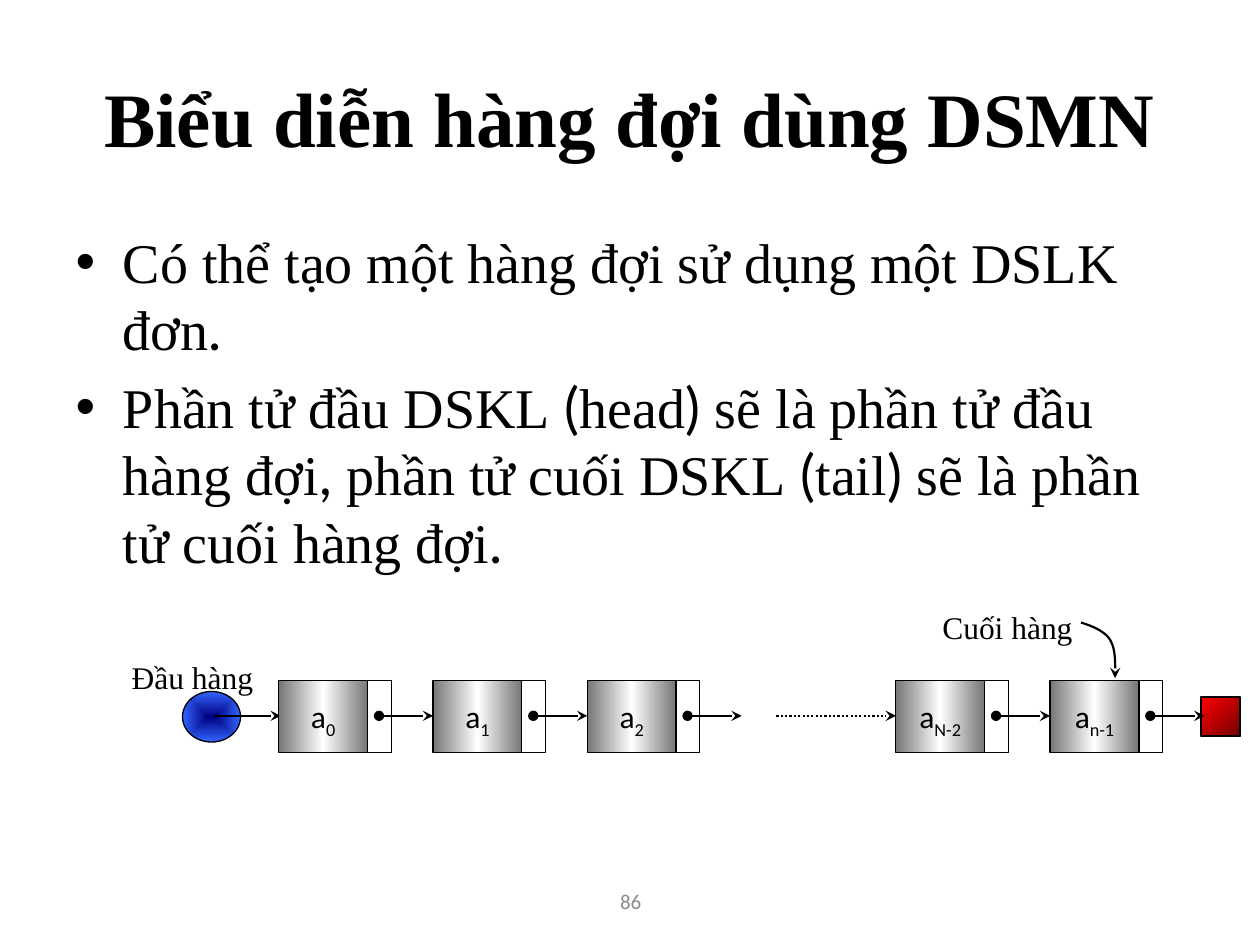
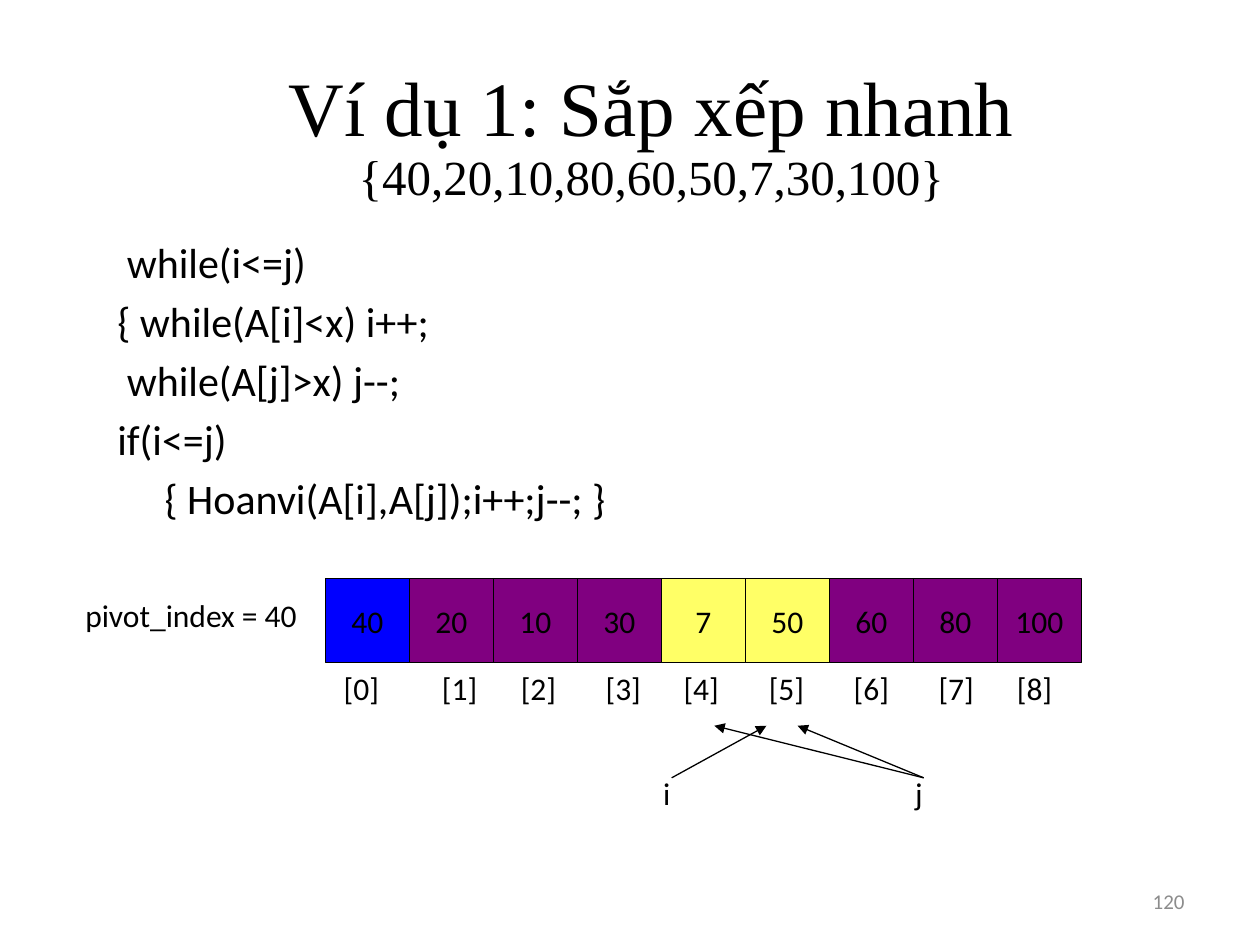
from itertools import cycle

from lxml import etree
from pptx import Presentation
from pptx import util as u
from pptx.dml.color import RGBColor
from pptx.enum import dml, shapes, text
from pptx.oxml import parse_xml
from pptx.oxml.ns import nsdecls, qn
from pptx.util import Cm, Pt

BLACK = RGBColor(0x00, 0x00, 0x00)
WHITE = RGBColor(0xFF, 0xFF, 0xFF)
GREY = RGBColor(0x8C, 0x8C, 0x8C)
BLUE = RGBColor(0x00, 0x00, 0xFF)
PURPLE = RGBColor(0x80, 0x00, 0x80)
YELLOW = RGBColor(0xFF, 0xFF, 0x66)
NAVY = RGBColor(0x00, 0x00, 0x80)
SKY = RGBColor(0x33, 0x66, 0xFF)
RED = RGBColor(0xFF, 0x00, 0x00)
DARK_RED = RGBColor(0x76, 0x00, 0x00)
STEEL = RGBColor(0x76, 0x76, 0x76)

TIMES, CALIBRI, LATO = "Times New Roman", "Calibri", "Lato"
LEFT, CENTER, RIGHT = text.PP_ALIGN.LEFT, text.PP_ALIGN.CENTER, text.PP_ALIGN.RIGHT
RECT, OVAL = shapes.MSO_SHAPE.RECTANGLE, shapes.MSO_SHAPE.OVAL
RADIAL = '<a:path path="shape"><a:fillToRect l="50000" t="50000" r="50000" b="50000"/></a:path>'


def add_box(slide, place, words="", kind=None, fill=None, shading="", font=CALIBRI,
            size=18, color=BLACK, align=CENTER, inset=0.0):
    """Add a text box, or a preset shape with a solid colour or a list of gradient colours."""
    place = [Cm(length) for length in place]
    if kind is None:
        box = slide.shapes.add_textbox(*place)
    else:
        box = slide.shapes.add_shape(kind, *place)
        box.shadow.inherit = False
        box.line.color.rgb = BLACK
        box.line.width = Pt(0.75)
        if isinstance(fill, list):
            stops = "".join(
                f'<a:gs pos="{100000 * n // (len(fill) - 1)}"><a:srgbClr val="{stop}"/></a:gs>'
                for n, stop in enumerate(fill))
            box.fill.gradient()
            properties = box._element.spPr
            properties.replace(properties.find(qn("a:gradFill")), parse_xml(
                f'<a:gradFill {nsdecls("a")}><a:gsLst>{stops}</a:gsLst>{shading}</a:gradFill>'))
        else:
            box.fill.solid()
            box.fill.fore_color.rgb = fill
    frame = box.text_frame
    frame.word_wrap = True
    frame.vertical_anchor = text.MSO_ANCHOR.MIDDLE
    frame.margin_left = frame.margin_right = Cm(inset)
    frame.margin_top = frame.margin_bottom = Cm(inset / 2)
    paragraph = frame.paragraphs[0]
    paragraph.text = words
    paragraph.alignment = align
    paragraph.font.name, paragraph.font.size = font, Pt(size)
    paragraph.font.color.rgb = color
    return box


def add_arrow(slide, start, end, width, tail, head=None):
    """Add a straight arrow between two points."""
    arrow = slide.shapes.add_connector(
        shapes.MSO_CONNECTOR.STRAIGHT, *[Cm(length) for length in (*start, *end)])
    arrow.line.color.rgb = BLACK
    arrow.line.width = Pt(width)
    outline = arrow.line._get_or_add_ln()
    if head:
        etree.SubElement(outline, qn("a:headEnd"), type=head)
    etree.SubElement(outline, qn("a:tailEnd"), type=tail)
    etree.SubElement(arrow._element.spPr, qn("a:effectLst"))
    return arrow


prs = Presentation()
prs.slide_width, prs.slide_height = Cm(25.4), Cm(19.05)

# Titles, body areas and slide numbers
pages = [
    (["Biểu diễn hàng đợi dùng DSMN"], (1.27, 0.76, 22.86, 3.18),
     (1.27, 4.45, 22.86, 12.57), "86", (8.69, 17.65, 8.05, 1.02), CENTER),
    (["Ví dụ 1: Sắp xếp nhanh", "{40,20,10,80,60,50,7,30,100}"], (1.7, 1.19, 22.86, 3.18),
     (2.11, 4.65, 22.86, 5.08), "120", (18.21, 17.65, 5.92, 1.02), RIGHT),
]
for title_lines, title_place, body_place, number, number_place, number_align in pages:
    slide = prs.slides.add_slide(prs.slide_layouts[1])
    for holder, place in zip(slide.placeholders, (title_place, body_place)):
        holder.left, holder.top, holder.width, holder.height = [Cm(v) for v in place]
        holder.text_frame.auto_size = text.MSO_AUTO_SIZE.NONE
    title = slide.shapes.title.text_frame
    title.text = "\n".join(title_lines)
    for line, size in zip(title.paragraphs, (44, 28)):
        line.font.name, line.font.size = TIMES, Pt(size)
        line.font.color.rgb = BLACK
        line.font.bold = len(title_lines) == 1
        line.line_spacing = 1.0 if len(title_lines) == 1 else 0.9
    add_box(slide, number_place, number, size=12, color=GREY, align=number_align, inset=0.25)

queue, quicksort = prs.slides

# Queue: bullets, whose phrases alternate between two fonts
bullets = [
    ["Có thể tạo một hàng đợi sử dụng một DSLK đơn", "."],
    ["Phần tử đầu DSKL", " (", "head", ") ", "sẽ là phần tử đầu hàng đợi", ", ",
     "phần tử cuối DSKL", " (", "tail", ") ", "sẽ là phần tử cuối hàng đợi", "."],
]
body = queue.placeholders[1].text_frame
body.add_paragraph()
for paragraph, phrases in zip(body.paragraphs, bullets):
    paragraph.font.size = Pt(32)
    paragraph.font.color.rgb = BLACK
    for phrase, font in zip(phrases, cycle((TIMES, LATO))):
        run = paragraph.add_run()
        run.text = phrase
        run.font.name = font

# Queue: head pointer and end marker
MIDDLE = 14.43
add_box(queue, (3.68, 13.94, 1.17, 1.02), kind=OVAL, fill=[NAVY, SKY], shading=RADIAL)
add_box(queue, (24.21, 14.05, 0.79, 0.79), kind=RECT, fill=[RED, DARK_RED],
        shading='<a:lin ang="2700000" scaled="1"/>')
add_arrow(queue, (4.32, MIDDLE), (5.66, MIDDLE), 1.25, "stealth")

# Queue: linked nodes, with one position skipped for the dotted gap
for position, index in zip((0, 1, 2, 4, 5), ("0", "1", "2", "N-2", "n-1")):
    left = 5.62 + 3.11 * position
    add_box(queue, (left + 1.79, 13.72, 0.48, 1.45), kind=RECT, fill=WHITE)
    node = add_box(queue, (left, 13.72, 1.79, 1.45), "a", RECT, [STEEL, WHITE, STEEL],
                   '<a:lin ang="0" scaled="1"/>')
    node.text_frame.margin_top = Cm(0.08)
    subscript = node.text_frame.paragraphs[0].add_run()
    subscript.text = index
    subscript._r.get_or_add_rPr().set("baseline", "-25000")
    add_arrow(queue, (left + 2.02, MIDDLE), (left + 3.11, MIDDLE), 1.25, "stealth", "oval")
gap = add_arrow(queue, (15.65, MIDDLE), (18.06, MIDDLE), 1.25, "stealth")
gap.line.dash_style = dml.MSO_LINE.ROUND_DOT

# Queue: labels and the curved arrow to the last node
add_box(queue, (2.29, 13.08, 3.18, 1.12), "Đầu hàng", font=TIMES)
add_box(queue, (18.72, 12.07, 3.18, 1.12), "Cuối hàng", font=TIMES)
bends = [
    ((21.79, 12.55), (22.02, 12.62), (22.28, 12.73), (22.38, 12.9)),
    ((22.38, 12.9), (22.5, 13.11), (22.48, 13.39), (22.48, 13.67)),
]
STEPS = 8
curve = []
for bend in bends:
    for t in (n / STEPS for n in range(1, STEPS + 1)):
        weights = ((1 - t) ** 3, 3 * t * (1 - t) ** 2, 3 * t * t * (1 - t), t ** 3)
        curve.append([Cm(sum(w * point[axis] for w, point in zip(weights, bend)))
                      for axis in (0, 1)])
builder = queue.shapes.build_freeform(*[Cm(v) for v in bends[0][0]])
builder.add_line_segments(curve, close=False)
tail_pointer = builder.convert_to_shape()
tail_pointer.shadow.inherit = False
tail_pointer.fill.background()
tail_pointer.line.color.rgb = BLACK
tail_pointer.line.width = Pt(1.25)
etree.SubElement(tail_pointer.line._get_or_add_ln(), qn("a:tailEnd"), type="stealth")

# Quicksort: code
code = quicksort.placeholders[1].text_frame
code.text = "\n".join([
    " while(i<=j)", "{ while(A[i]<x) i++;", " while(A[j]>x) j--;", "if(i<=j)",
    "\t{ Hoanvi(A[i],A[j]);i++;j--; }"])
for line in code.paragraphs:
    line.font.name, line.font.size = CALIBRI, Pt(24)
    line.font.color.rgb = BLACK
    line._p.get_or_add_pPr().insert(0, etree.Element(qn("a:buNone")))
add_box(quicksort, (1.47, 11.89, 5.0, 1.02), "pivot_index = 40", align=LEFT, inset=0.25)

# Quicksort: array cells
values = [40, 20, 10, 30, 7, 50, 60, 80, 100]
CELL = 15.24 / len(values)
for column, value in enumerate(values):
    fill = BLUE if column == 0 else YELLOW if value in (7, 50) else PURPLE
    add_box(quicksort, (6.56 + CELL * column, 11.66, CELL, CELL), str(value), RECT, fill)

# Quicksort: indices on tab stops
indices = add_box(quicksort, (6.68, 13.36, 15.04, 1.02),
                  "\t".join(f"[{n}]" for n in range(len(values))), align=LEFT, inset=0.25)
tabs = etree.Element(qn("a:tabLst"))
for stop in (1.98, 3.57, 5.28, 6.85, 8.57, 10.28, 11.99, 13.57):
    etree.SubElement(tabs, qn("a:tab"), pos=str(u.Cm(stop)), algn="l")
indices.text_frame.paragraphs[0]._p.pPr.insert(0, tabs)

# Quicksort: i and j, where j points at both its places
for name, left, targets in (("i", 13.12, [15.45]), ("j", 18.2, [16.08, 14.4])):
    add_box(quicksort, (left, 15.47, 1.06, 1.02), name, align=LEFT, inset=0.25)
    for target in targets:
        add_arrow(quicksort, (left + 0.42, 15.68), (target, 14.63), 0.75, "triangle")

prs.save("out.pptx")
